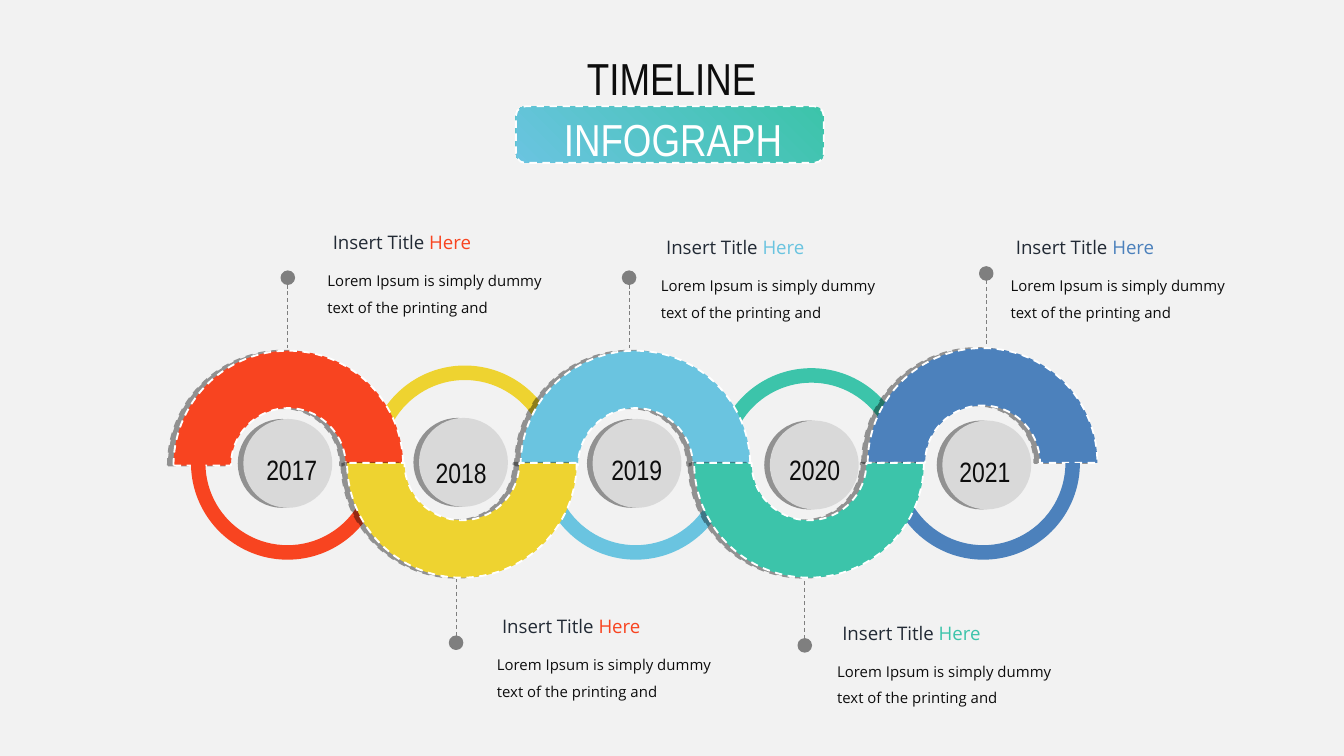
from dataclasses import dataclass
from typing import NamedTuple

from lxml import etree
from pptx import Presentation
from pptx.dml.color import RGBColor
from pptx.enum.dml import MSO_LINE
from pptx.enum.shapes import MSO_CONNECTOR, MSO_SHAPE
from pptx.enum.text import MSO_AUTO_SIZE, PP_ALIGN
from pptx.oxml.ns import qn
from pptx.util import Cm, Pt

ARC, OVAL, ROUND = MSO_SHAPE.BLOCK_ARC, MSO_SHAPE.OVAL, MSO_SHAPE.ROUNDED_RECTANGLE
STRAIGHT = MSO_CONNECTOR.STRAIGHT
DASH = MSO_LINE.DASH
LEFT, CENTER = PP_ALIGN.LEFT, PP_ALIGN.CENTER
GROW = MSO_AUTO_SIZE.SHAPE_TO_FIT_TEXT


@dataclass(frozen=True)
class Theme:
    back: str = "F2F2F2"
    white: str = "FFFFFF"
    ink: str = "0D0D0D"
    navy: str = "222A35"
    gray: str = "7F7F7F"
    disc: str = "D9D9D9"
    shade: str = "000000"
    red: str = "F84420"
    gold: str = "EED330"
    sky: str = "6AC4E0"
    green: str = "3CC4AA"
    blue: str = "4C81BC"
    narrow: str = "Arial Narrow"
    sans: str = "Open Sans"
    head: float = 24
    year: float = 15
    title: float = 10
    body: float = 8


T = Theme()


class Step(NamedTuple):
    year: str
    color: str
    accent: str
    top: float      # top of the wide arc
    ring: tuple     # left, top of the thin arc
    disc: tuple
    label: tuple
    pin: tuple      # centre x and outer end y
    note: tuple


STEPS = [
    Step("2017", T.red, T.red, 6.63, (3.61, 6.93), (4.6, 7.92),
         (4.5, 8.43), (5.44, 5.13), (5.94, 4.83)),
    Step("2018", T.gold, T.red, 6.58, (6.96, 6.91), (7.92, 7.9),
         (7.7, 8.48), (8.62, 12.27), (9.14, 12.09)),
    Step("2019", T.sky, T.sky, 6.63, (10.19, 6.93), (11.2, 7.92),
         (11.02, 8.43), (11.89, 5.13), (12.24, 4.93)),
    Step("2020", T.green, T.green, 6.58, (13.51, 6.96), (14.55, 7.95),
         (14.38, 8.43), (15.21, 12.32), (15.57, 12.22)),
    Step("2021", T.blue, T.blue, 6.58, (16.76, 6.93), (17.81, 7.95),
         (17.6, 8.46), (18.64, 5.05), (18.85, 4.93)),
]
PITCH = 3.28
WIDE, THIN, DISC = 4.34, 3.65, 1.68
STEM, DOT = 1.45, 0.24


class Board:
    def __init__(self, slide, theme):
        self.slide, self.theme = slide, theme
        self.fill(slide.background, theme.back)

    def fill(self, item, color):
        item.fill.solid()
        item.fill.fore_color.rgb = RGBColor.from_string(color)

    def line(self, item, color, width, dash=None):
        item.line.color.rgb = RGBColor.from_string(color)
        item.line.width = Pt(width)
        if dash:
            item.line.dash_style = dash

    def shape(self, kind, left, top, wide, high, color):
        item = self.slide.shapes.add_shape(kind, Cm(left), Cm(top), Cm(wide), Cm(high))
        item.shadow.inherit = False
        self.fill(item, color)
        item.line.fill.background()
        return item

    def shade(self, item):
        """Cast a hard, see-through shadow to the left."""
        effects = item._element.spPr.find(qn("a:effectLst"))
        outer = etree.SubElement(effects, qn("a:outerShdw"), blurRad="0",
                                 dist=str(Pt(3)), dir="10800000", algn="r", rotWithShape="0")
        tint = etree.SubElement(outer, qn("a:srgbClr"), val=self.theme.shade)
        etree.SubElement(tint, qn("a:alpha"), val="40000")

    def arc(self, left, top, size, width, color, upper):
        """Draw the upper or lower half of a ring; width is a share of size."""
        item = self.shape(ARC, left, top, size, size, color)
        half = 108  # 180 degrees in adjustment units
        start, end = (half, 0) if upper else (0, half)
        for i, value in enumerate((start, end, width)):
            item.adjustments[i] = value
        return item

    def band(self, left, top, color, upper):
        item = self.arc(left, top, WIDE, 0.25, color, upper)
        self.line(item, self.theme.white, 1, DASH)
        self.shade(item)

    def disc(self, left, top):
        self.shade(self.shape(OVAL, left, top, DISC, DISC, self.theme.disc))

    def pin(self, x, end, upper):
        way = 1 if upper else -1
        stem = self.slide.shapes.add_connector(
            STRAIGHT, Cm(x), Cm(end), Cm(x), Cm(end + way * STEM))
        self.line(stem, self.theme.gray, 0.5, DASH)
        etree.SubElement(stem._element.spPr, qn("a:effectLst"))
        top = end if upper else end - DOT
        dot = self.shape(OVAL, x - DOT / 2, top, DOT, DOT, self.theme.gray)
        self.line(dot, self.theme.gray, 1)

    def badge(self, left, top, wide, high):
        item = self.shape(ROUND, left, top, wide, high, self.theme.green)
        item.fill.gradient()
        item.fill.gradient_angle = 225
        for stop, color in zip(item.fill.gradient_stops, (self.theme.green, self.theme.sky)):
            stop.color.rgb = RGBColor.from_string(color)
        self.line(item, self.theme.white, 1, DASH)

    def text(self, place, runs, font, size, align=LEFT, wrap=True, space=None, inset=(0.25, 0.13)):
        """Add a one-paragraph box; runs are (words, color) pairs."""
        frame = self.slide.shapes.add_textbox(*map(Cm, place)).text_frame
        frame.word_wrap, frame.auto_size = wrap, GROW
        frame.margin_left = frame.margin_right = Cm(inset[0])
        frame.margin_top = frame.margin_bottom = Cm(inset[1])
        para = frame.paragraphs[0]
        para.alignment, para.line_spacing = align, space
        for words, color in runs:
            run = para.add_run()
            run.text = words
            run.font.name, run.font.size = font, Pt(size)
            run.font.color.rgb = RGBColor.from_string(color)

    def head(self, words, color, left, top, wide):
        self.text((left, top, wide, 1.22), [(words, color)], self.theme.narrow,
                  self.theme.head, CENTER, inset=(0.18, 0.1))

    def label(self, words, left, top):
        self.text((left, top, 2.03, 0.89), [(words, self.theme.ink)],
                  self.theme.narrow, self.theme.year, CENTER)

    def note(self, left, top, accent):
        t = self.theme
        self.text((left, top, 4.67, 1.27),
                  [("Lorem Ipsum is simply dummy text of the printing and", t.ink)],
                  t.sans, t.body, space=1.5)
        self.text((left + 0.1, top - 0.6, 3.12, 0.69),
                  [("Insert Title ", t.navy), ("Here", accent)],
                  t.sans, t.title, wrap=False)


def main():
    deck = Presentation()
    deck.slide_width, deck.slide_height = Cm(25.4), Cm(14.29)
    board = Board(deck.slides.add_slide(deck.slide_layouts[6]), T)

    board.badge(9.75, 2.01, 5.82, 1.07)
    board.head("INFOGRAPH", T.white, 9.86, 2.01, 5.72)
    board.head("TIMELINE", T.ink, 7.92, 0.86, 9.55)

    for i, step in enumerate(STEPS):
        board.pin(*step.pin, upper=i % 2 == 0)
        board.note(*step.note, step.accent)

    # Lower steps have their thin ring at the back and their band in front.
    spots = [(PITCH * (i + 1), step) for i, step in enumerate(STEPS)]
    upper, lower = spots[::2], spots[1::2]
    for _, step in lower:
        board.arc(*step.ring, THIN, 0.075, step.color, True)
    for left, step in upper:
        board.band(left, step.top, step.color, True)
    for _, step in upper:
        board.arc(*step.ring, THIN, 0.075, step.color, False)
    for left, step in lower:
        board.band(left, step.top, step.color, False)

    for step in STEPS:
        board.disc(*step.disc)
        board.label(step.year, *step.label)

    deck.save("out.pptx")


if __name__ == "__main__":
    main()
